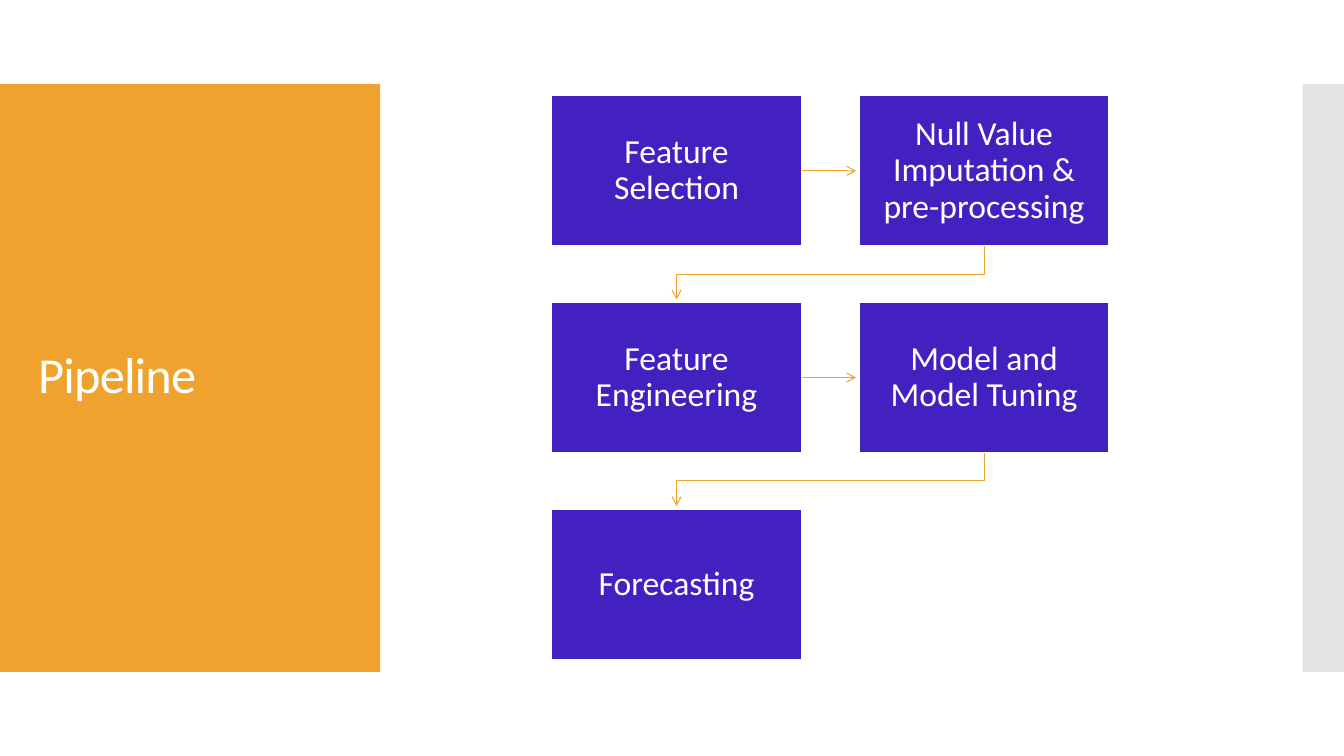
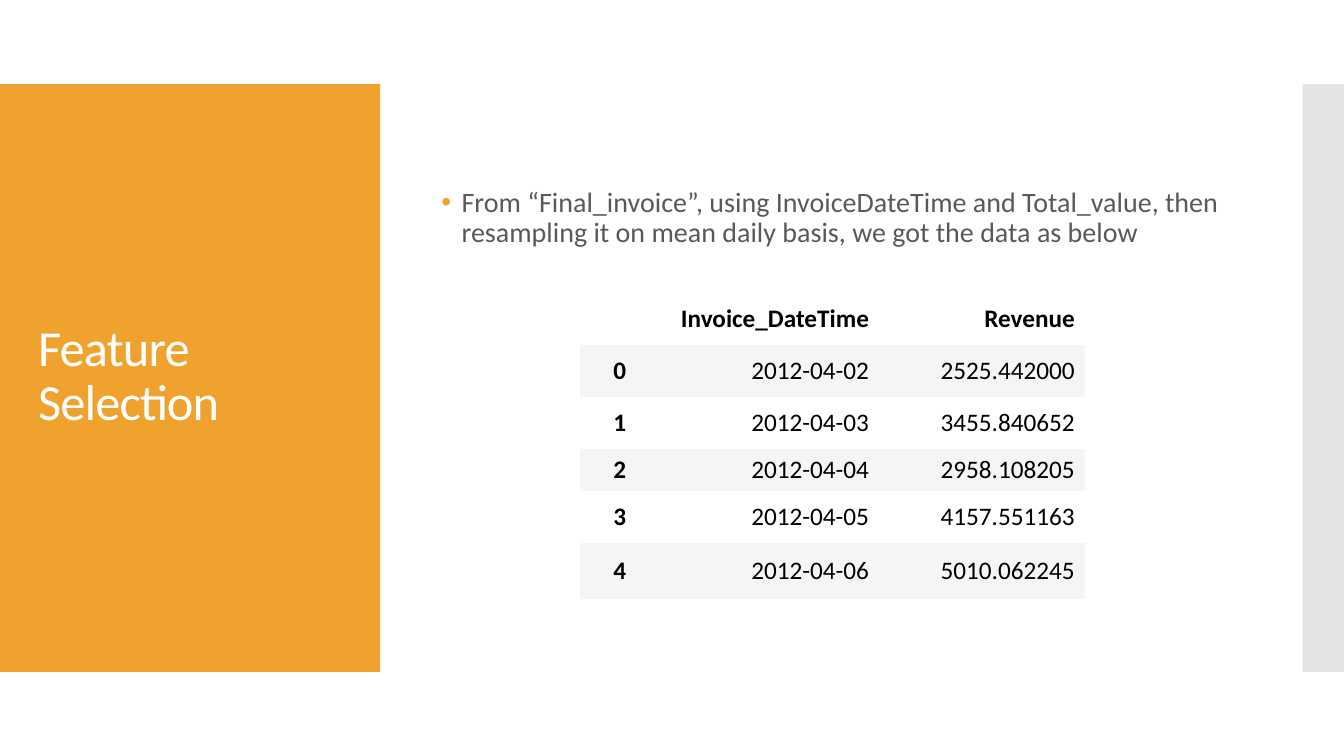
from dataclasses import dataclass
from itertools import pairwise

import lxml.etree
import pptx
import pptx.dml.color
import pptx.enum.shapes
import pptx.enum.text
import pptx.oxml.ns
import pptx.util

SLIDE_WIDTH = 13.33
SLIDE_HEIGHT = 7.5
FONT = "Calibri"
ORANGE = "F0A22E"
PURPLE = "4221C0"
WHITE = "FFFFFF"
BLACK = "000000"
GREY = "595959"
SIDE_GREY = "C8C8C8"
STRIPE = "F5F5F5"

GRID_LEFT = 5.47
GRID_TOP = 0.95
BOX_WIDTH = 2.48
BOX_HEIGHT = 1.49
COLUMN_GAP = 0.57
ROW_GAP = 0.56
ARROW_CLEARANCE = 0.03

LEFT = pptx.enum.text.PP_ALIGN.LEFT
CENTER = pptx.enum.text.PP_ALIGN.CENTER
RIGHT = pptx.enum.text.PP_ALIGN.RIGHT
MIDDLE = pptx.enum.text.MSO_ANCHOR.MIDDLE
RECTANGLE = pptx.enum.shapes.MSO_SHAPE.RECTANGLE


@dataclass(frozen=True)
class Area:
    left: float
    top: float
    width: float
    height: float

    def lengths(self) -> list:
        return [pptx.util.Inches(value) for value in (self.left, self.top, self.width, self.height)]


@dataclass(frozen=True)
class Step:
    label: str
    column: int
    row: int

    @property
    def area(self) -> Area:
        return Area(
            GRID_LEFT + self.column * (BOX_WIDTH + COLUMN_GAP),
            GRID_TOP + self.row * (BOX_HEIGHT + ROW_GAP),
            BOX_WIDTH,
            BOX_HEIGHT,
        )


TITLE_BAND = Area(0, SLIDE_HEIGHT / 9, 3.77, SLIDE_HEIGHT * 7 / 9)
SIDE_BAND = Area(12.92, SLIDE_HEIGHT / 9, SLIDE_WIDTH - 12.92, SLIDE_HEIGHT * 7 / 9)
TITLE_AREA = Area(0.28, 1.23, 3.22, 5.03)
BODY_AREA = Area(4.28, 0.94, 7.95, 2.46)

STEPS = [
    Step("Feature Selection", 0, 0),
    Step("Null Value Imputation & pre-processing", 1, 0),
    Step("Feature Engineering", 0, 1),
    Step("Model and Model Tuning", 1, 1),
    Step("Forecasting", 0, 2),
]

BODY_TEXT = (
    "From “Final_invoice”, using InvoiceDateTime and Total_value, "
    "then resampling it on mean daily basis, we got the data as below"
)
COLUMN_WIDTHS = [0.56, 2.41, 2.04]
ROW_HEIGHTS = [0.52, 0.52, 0.52, 0.41, 0.52, 0.55]
TABLE_ROWS = [
    ("", "Invoice_DateTime", "Revenue"),
    ("0", "2012-04-02", "2525.442000"),
    ("1", "2012-04-03", "3455.840652"),
    ("2", "2012-04-04", "2958.108205"),
    ("3", "2012-04-05", "4157.551163"),
    ("4", "2012-04-06", "5010.062245"),
]
TABLE_AREA = Area(5.75, 2.9, sum(COLUMN_WIDTHS), sum(ROW_HEIGHTS))


def colour(value: str) -> pptx.dml.color.RGBColor:
    return pptx.dml.color.RGBColor.from_string(value)


def add_element(parent, tag: str, **attributes: str):
    element = lxml.etree.SubElement(parent, pptx.oxml.ns.qn(tag))
    for name, value in attributes.items():
        element.set(name, value)
    return element


def write_text(text_frame, text: str, *, size: float, color: str, bold: bool = False,
               align=LEFT, line_spacing: float = 1.0, tracking: float = 0,
               bullet_color: str = "") -> None:
    text_frame.word_wrap = True
    paragraph = text_frame.paragraphs[0]
    if bullet_color:
        properties = paragraph._p.get_or_add_pPr()
        indent = pptx.util.Inches(0.2)
        properties.set("marL", str(indent))
        properties.set("indent", str(-indent))
        add_element(add_element(properties, "a:buClr"), "a:srgbClr", val=bullet_color)
        add_element(properties, "a:buFont", typeface="Arial")
        add_element(properties, "a:buChar", char="•")
    paragraph.alignment = align
    paragraph.line_spacing = line_spacing
    run = paragraph.add_run()
    run.text = text
    run.font.name = FONT
    run.font.size = pptx.util.Pt(size)
    run.font.bold = bold
    run.font.color.rgb = colour(color)
    if tracking:
        run._r.get_or_add_rPr().set("spc", str(round(tracking * 100)))


def add_rectangle(slide, area: Area, fill: str, *, opacity: int = 100, outline: str = ""):
    shape = slide.shapes.add_shape(RECTANGLE, *area.lengths())
    shape.shadow.inherit = False
    shape.fill.solid()
    shape.fill.fore_color.rgb = colour(fill)
    if opacity < 100:
        color_element = shape._element.spPr.find(".//" + pptx.oxml.ns.qn("a:srgbClr"))
        add_element(color_element, "a:alpha", val=str(opacity * 1000))
    if outline:
        shape.line.color.rgb = colour(outline)
        shape.line.width = pptx.util.Pt(0.85)
    else:
        shape.line.fill.background()
    return shape


def add_text_box(slide, area: Area, text: str, **text_format) -> None:
    text_frame = slide.shapes.add_textbox(*area.lengths()).text_frame
    text_frame.vertical_anchor = MIDDLE
    write_text(text_frame, text, line_spacing=0.9, **text_format)


def add_titled_slide(presentation, title: str):
    slide = presentation.slides.add_slide(presentation.slide_layouts[6])
    add_rectangle(slide, TITLE_BAND, ORANGE)
    add_rectangle(slide, SIDE_BAND, SIDE_GREY, opacity=50)
    add_text_box(slide, TITLE_AREA, title, size=36, color=WHITE, tracking=-0.6)
    return slide


def style_arrow(arrow) -> None:
    arrow.line.color.rgb = colour(ORANGE)
    arrow.line.width = pptx.util.Pt(0.75)
    add_element(arrow.line._get_or_add_ln(), "a:tailEnd", type="arrow")


def add_straight_arrow(slide, source: Area, target: Area) -> None:
    middle = source.top + source.height / 2
    ends = (source.left + source.width, middle, target.left - ARROW_CLEARANCE, middle)
    arrow = slide.shapes.add_connector(
        pptx.enum.shapes.MSO_CONNECTOR.STRAIGHT, *map(pptx.util.Inches, ends))
    style_arrow(arrow)
    add_element(arrow._element.spPr, "a:effectLst")


def add_elbow_arrow(slide, source: Area, target: Area) -> None:
    start_x = source.left + source.width / 2
    end_x = target.left + target.width / 2
    bottom = source.top + source.height
    turn = bottom + ROW_GAP / 2
    corners = [
        (start_x, bottom),
        (start_x, turn),
        (end_x, turn),
        (end_x, target.top - ARROW_CLEARANCE),
    ]
    start, *others = [(pptx.util.Inches(x), pptx.util.Inches(y)) for x, y in corners]
    builder = slide.shapes.build_freeform(*start)
    builder.add_line_segments(others, close=False)
    arrow = builder.convert_to_shape()
    arrow.fill.background()
    arrow.shadow.inherit = False
    style_arrow(arrow)


def add_step(slide, step: Step) -> None:
    box = add_rectangle(slide, step.area, PURPLE, outline=WHITE)
    text_frame = box.text_frame
    text_frame.vertical_anchor = MIDDLE
    for side in ("left", "top", "right", "bottom"):
        setattr(text_frame, f"margin_{side}", pptx.util.Inches(0.19))
    write_text(text_frame, step.label, size=24, color=WHITE, align=CENTER, line_spacing=0.9)


def remove_borders(cell) -> None:
    properties = cell._tc.get_or_add_tcPr()
    for tag in ("a:lnL", "a:lnR", "a:lnT", "a:lnB"):
        add_element(add_element(properties, tag, w="0"), "a:noFill")


def add_revenue_table(slide) -> None:
    table = slide.shapes.add_table(
        len(TABLE_ROWS), len(COLUMN_WIDTHS), *TABLE_AREA.lengths()).table
    table.first_row = False
    table.horz_banding = False
    for column, width in zip(table.columns, COLUMN_WIDTHS):
        column.width = pptx.util.Inches(width)
    for row, height in zip(table.rows, ROW_HEIGHTS):
        row.height = pptx.util.Inches(height)
    for row_index, values in enumerate(TABLE_ROWS):
        for column_index, value in enumerate(values):
            cell = table.cell(row_index, column_index)
            cell.vertical_anchor = MIDDLE
            remove_borders(cell)
            if row_index % 2:
                cell.fill.solid()
                cell.fill.fore_color.rgb = colour(STRIPE)
            else:
                cell.fill.background()
            if value:
                write_text(cell.text_frame, value, size=18, color=BLACK, align=RIGHT,
                           bold=row_index == 0 or column_index == 0)


def build_pipeline_slide(presentation) -> None:
    slide = add_titled_slide(presentation, "Pipeline")
    for step in STEPS:
        add_step(slide, step)
    for source, target in pairwise(STEPS):
        add_arrow = add_straight_arrow if source.row == target.row else add_elbow_arrow
        add_arrow(slide, source.area, target.area)


def build_feature_slide(presentation) -> None:
    slide = add_titled_slide(presentation, "Feature Selection")
    add_text_box(slide, BODY_AREA, BODY_TEXT, size=20, color=GREY, bullet_color=ORANGE)
    add_revenue_table(slide)


def main() -> None:
    presentation = pptx.Presentation()
    presentation.slide_width = pptx.util.Inches(SLIDE_WIDTH)
    presentation.slide_height = pptx.util.Inches(SLIDE_HEIGHT)
    build_pipeline_slide(presentation)
    build_feature_slide(presentation)
    presentation.save("out.pptx")


if __name__ == "__main__":
    main()
